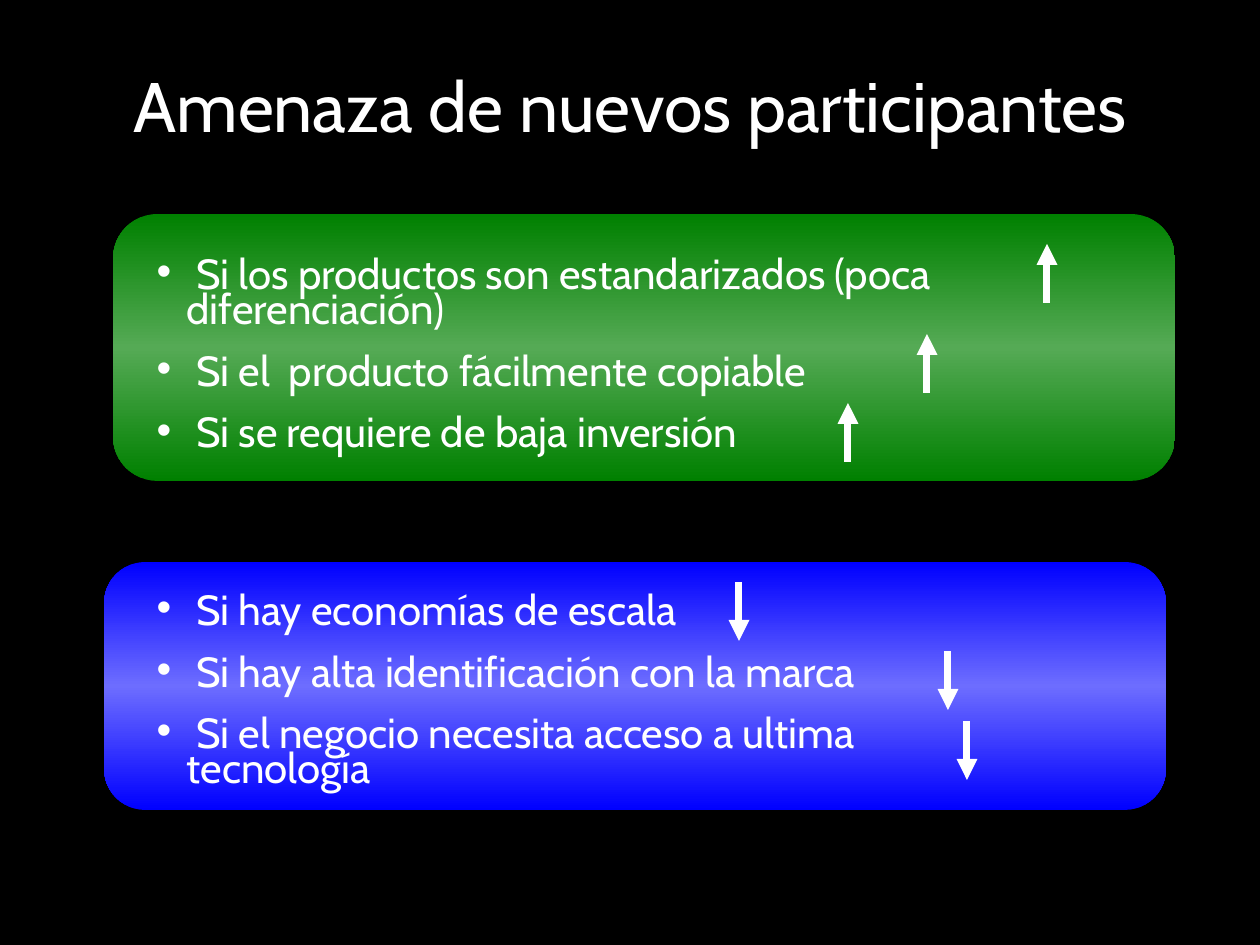
from copy import deepcopy
from dataclasses import dataclass

from lxml.etree import SubElement
from pptx import Presentation
from pptx.dml.color import RGBColor
from pptx.enum.shapes import MSO_CONNECTOR, MSO_SHAPE
from pptx.enum.text import MSO_ANCHOR, MSO_AUTO_SIZE, PP_ALIGN
from pptx.oxml.ns import qn
from pptx.util import Pt

SCALE = 914400 / 126  # EMU in one px


@dataclass(frozen=True)
class Theme:
    font: str = "Cabin"
    back: str = "000000"
    text: str = "FFFFFF"
    green: tuple = ("008000", "55AA55", "008000")
    blue: tuple = ("0000FF", "6D6DFF", "0000FF")
    title: int = 40
    body: int = 24
    gap: int = 15
    arrow: int = 4


THEME = Theme()
INDENT = 30
LENGTH = 59  # of each arrow


def px(n):
    return round(n * SCALE)


def rgb(code):
    return RGBColor.from_string(code)


def place(shape, box):
    shape.left, shape.top, shape.width, shape.height = map(px, box)


def add_run(para, text, size):
    run = para.add_run()
    run.text = text
    run.font.name = THEME.font
    run.font.size = Pt(size)
    run.font.color.rgb = rgb(THEME.text)


def add_title(slide, text, box):
    title = slide.shapes.title
    place(title, box)
    title.text_frame.vertical_anchor = MSO_ANCHOR.MIDDLE
    para = title.text_frame.paragraphs[0]
    para.alignment = PP_ALIGN.CENTER
    add_run(para, text, THEME.title)


def add_panel(slide, box, colors):
    panel = slide.shapes.add_shape(MSO_SHAPE.ROUNDED_RECTANGLE, *map(px, box))
    panel.shadow.inherit = False
    panel.line.fill.background()
    panel.fill.gradient()
    panel.fill.gradient_angle = 90
    # The preset gradient has two stops, the panel needs three
    stops = panel.element.spPr.find(".//" + qn("a:gsLst"))
    stops.append(deepcopy(stops[0]))
    for i, (stop, color) in enumerate(zip(panel.fill.gradient_stops, colors)):
        stop.position = i / 2
        stop.color.rgb = rgb(color)


def add_bullet(para):
    props = para._p.get_or_add_pPr()
    props.set("marL", str(px(INDENT)))
    props.set("indent", str(-px(INDENT)))
    color = SubElement(props, qn("a:buClr"))
    SubElement(color, qn("a:srgbClr"), val=THEME.text)
    SubElement(props, qn("a:buChar"), char="•")


def add_list(holder, box, items):
    place(holder, box)
    # Bring the list in front of its panel
    holder.element.getparent().append(holder.element)
    frame = holder.text_frame
    frame.word_wrap = True
    frame.auto_size = MSO_AUTO_SIZE.SHAPE_TO_FIT_TEXT
    for i, text in enumerate(items):
        para = frame.add_paragraph() if i else frame.paragraphs[0]
        add_bullet(para)
        para.line_spacing = 0.7
        para.space_before = Pt(THEME.gap if i else 0)
        add_run(para, text, THEME.body)


def add_arrow(slide, x, top, rise):
    start, end = (top + LENGTH, top) if rise else (top, top + LENGTH)
    arrow = slide.shapes.add_connector(
        MSO_CONNECTOR.STRAIGHT, px(x), px(start), px(x), px(end))
    arrow.line.color.rgb = rgb(THEME.text)
    arrow.line.width = Pt(THEME.arrow)
    SubElement(arrow.line._get_or_add_ln(), qn("a:tailEnd"), type="triangle")
    SubElement(arrow.element.spPr, qn("a:effectLst"))


def main():
    deck = Presentation()
    deck.slide_width, deck.slide_height = px(1260), px(945)
    slide = deck.slides.add_slide(deck.slide_layouts[3])
    slide.background.fill.solid()
    slide.background.fill.fore_color.rgb = rgb(THEME.back)
    first, second = list(slide.placeholders)[1:]

    add_title(slide, "Amenaza de nuevos participantes", (63, 26, 1134, 158))

    # Factors that raise the threat
    add_panel(slide, (113, 214, 1062, 267), THEME.green)
    add_list(first, (144, 255, 973, 207), [
        " Si los productos son estandarizados (poca diferenciación)",
        " Si el  producto fácilmente copiable",
        " Si se requiere de baja inversión",
    ])
    for x, top in ((1047, 244), (927, 334), (848, 403)):
        add_arrow(slide, x, top, rise=True)

    # Factors that lower the threat
    add_panel(slide, (104, 562, 1062, 248), THEME.blue)
    add_list(second, (144, 591, 847, 268), [
        " Si hay economías de escala",
        " Si hay alta identificación con la marca",
        " Si el negocio necesita acceso a ultima tecnología",
    ])
    for x, top in ((739, 582), (948, 651), (967, 721)):
        add_arrow(slide, x, top, rise=False)

    deck.save("out.pptx")


if __name__ == "__main__":
    main()
